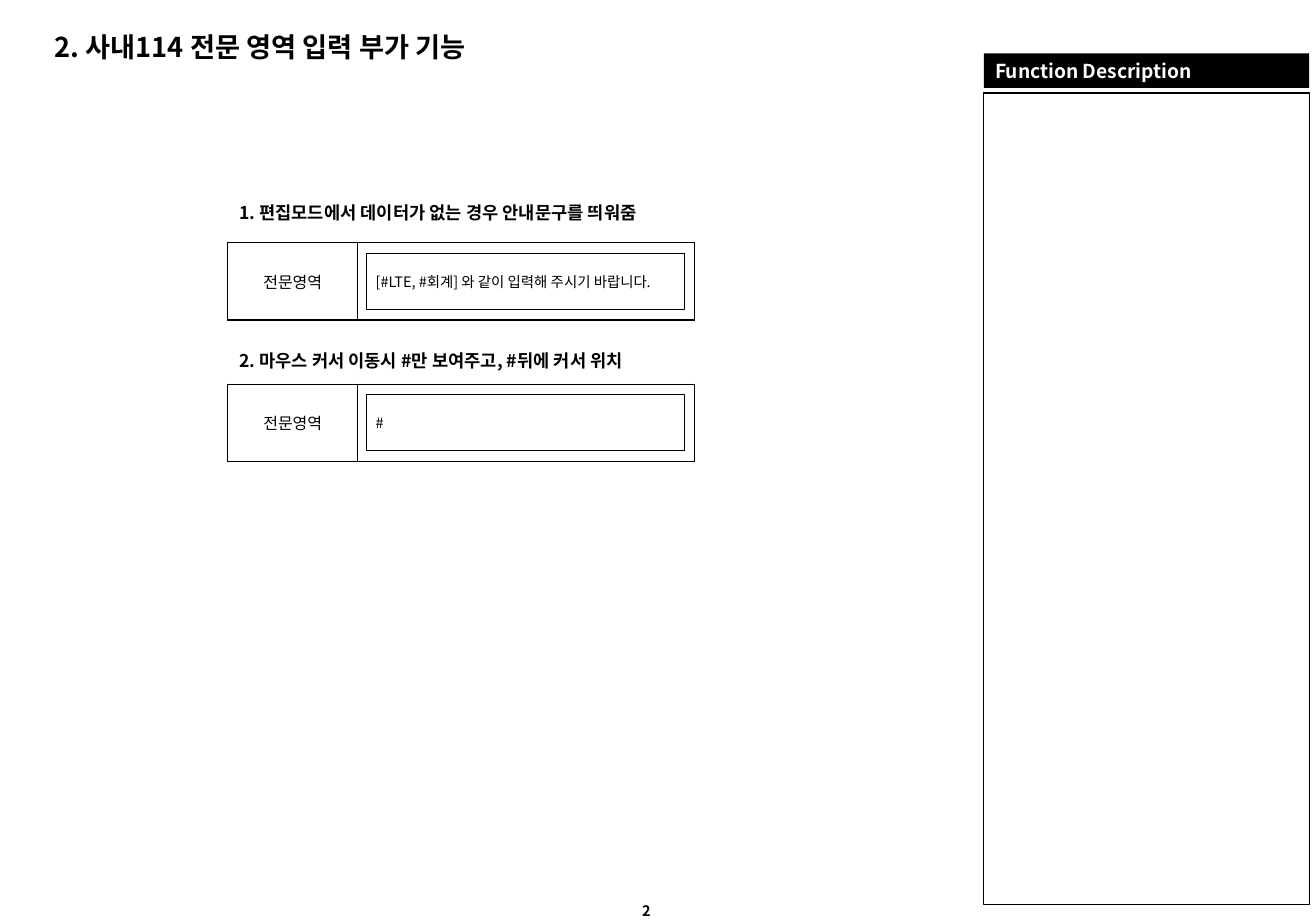
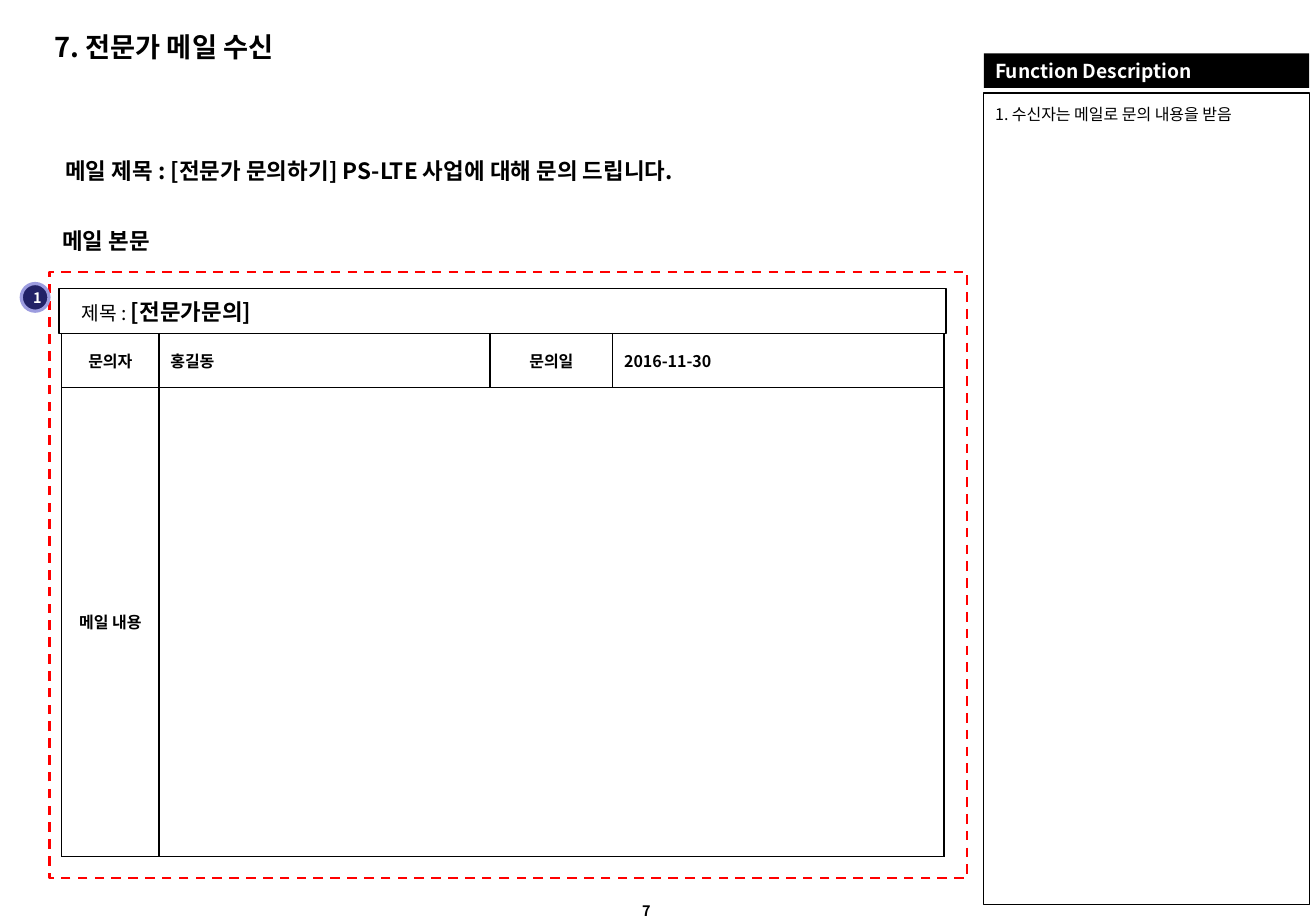
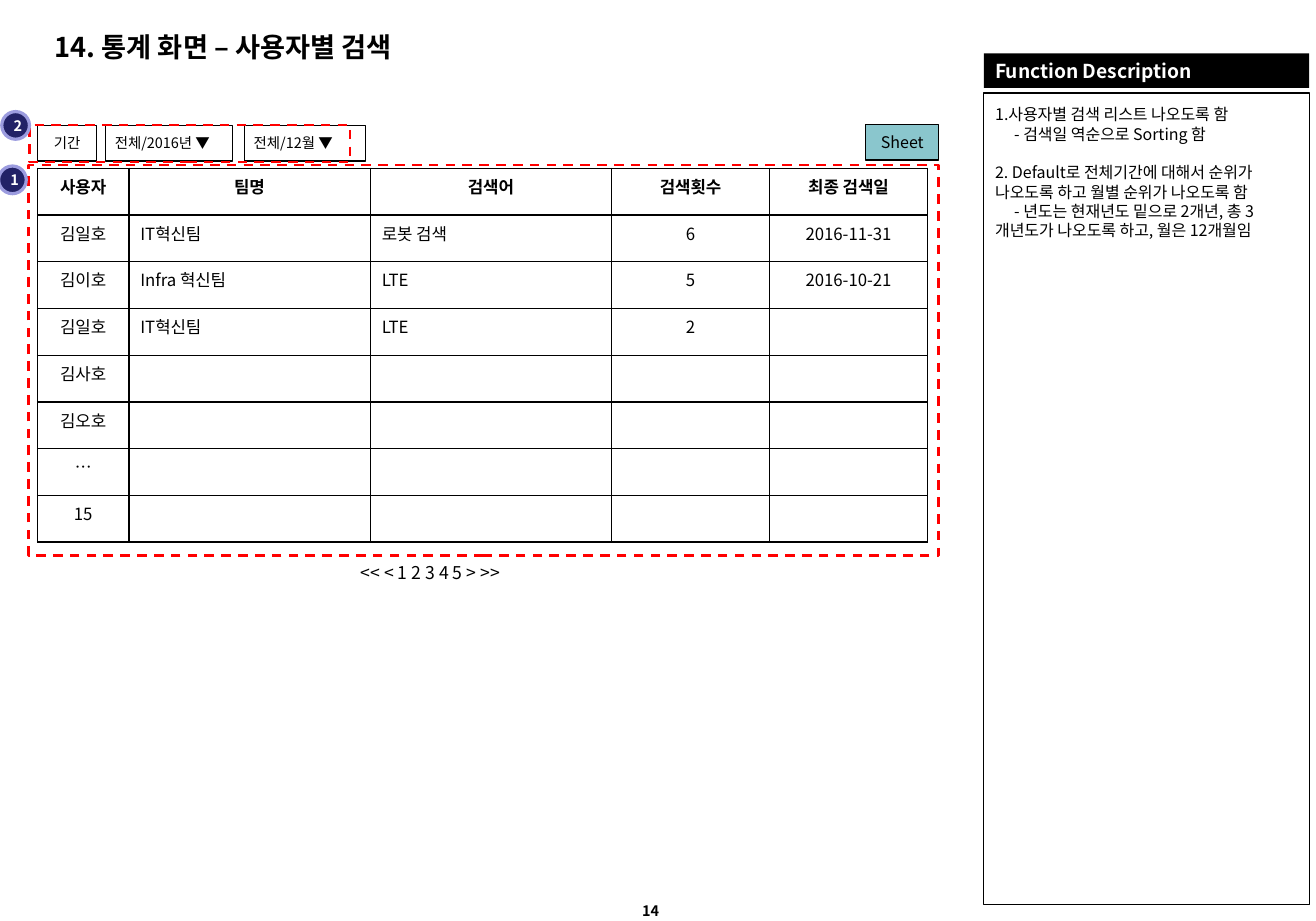
from lxml import etree
from pptx import Presentation
from pptx.dml.color import RGBColor
from pptx.enum.dml import MSO_LINE
from pptx.enum.shapes import MSO_SHAPE as Preset
from pptx.enum.text import MSO_ANCHOR as Anchor, PP_ALIGN as Align
from pptx.oxml.ns import qn
from pptx.util import Cm, Pt

FONT = "Noto Sans CJK KR"
LINE_PITCH = 1.21
COLORS = {
    "ink": "000000",
    "paper": "FFFFFF",
    "marker": "FF0000",
    "badge": "222267",
    "badge_ring": "9C9CDF",
    "button": "8AC6CD",
}
PANEL = {"left": 21.68, "width": 7.17}
INSETS = {"margin_left": 0.25, "margin_right": 0.25,
          "margin_top": 0.13, "margin_bottom": 0.13}
FIELD_INSETS = {"margin_left": 0.2, "margin_right": 0.2,
                "margin_top": 0.1, "margin_bottom": 0.1}
BUTTON_INSETS = dict.fromkeys(INSETS, 0.1)
BADGE_INSETS = {**dict.fromkeys(INSETS, 0), "margin_left": 0.1}
NOTE_INDENTS = {"numbered": (0.23, -0.23), "plain": (0, 0), "sub": (0, 0.42)}


def rgb(color):
    return RGBColor.from_string(COLORS[color])


def cms(*lengths):
    return [Cm(length) for length in lengths]


def set_all(target, values):
    for name, value in values.items():
        setattr(target, name, value)


def add_run(paragraph, text, size, color="ink", bold=False, font=FONT):
    run = paragraph.add_run()
    run.text = text
    set_all(run.font, {"size": Pt(size), "bold": bold, "name": font})
    run.font.color.rgb = rgb(color)
    east_asian = etree.SubElement(run._r.get_or_add_rPr(), qn("a:ea"))
    east_asian.set("typeface", FONT)


def write_line(frame, runs, align=Align.LEFT):
    """Fill the first paragraph with (text, size, color, bold) runs."""
    paragraph = frame.paragraphs[0]
    paragraph.alignment = align
    paragraph.line_spacing = Pt(max(run[1] for run in runs) * LINE_PITCH)
    for run in runs:
        add_run(paragraph, *run)


def set_frame(frame, anchor=Anchor.TOP, wrap=True, insets=INSETS):
    set_all(frame, {name: Cm(value) for name, value in insets.items()})
    set_all(frame, {"vertical_anchor": anchor, "word_wrap": wrap})


def add_label(slide, box, text, size, bold=True, anchor=Anchor.TOP):
    frame = slide.shapes.add_textbox(*cms(*box)).text_frame
    set_frame(frame, anchor)
    write_line(frame, [(text, size, "ink", bold)])


def add_box(slide, box, fill=None, line="ink", weight=0.75, dash=None,
            preset=Preset.RECTANGLE):
    shape = slide.shapes.add_shape(preset, *cms(*box))
    shape.shadow.inherit = False
    if fill:
        shape.fill.solid()
        shape.fill.fore_color.rgb = rgb(fill)
    else:
        shape.fill.background()
    if line:
        shape.line.color.rgb = rgb(line)
        set_all(shape.line, {"width": Pt(weight), "dash_style": dash})
    else:
        shape.line.fill.background()
    return shape


def add_field(slide, box, runs, fill="paper", align=Align.LEFT,
              insets=FIELD_INSETS):
    """Draw an outlined form field or button with one line of text."""
    frame = add_box(slide, box, fill).text_frame
    set_frame(frame, Anchor.MIDDLE, False, insets)
    write_line(frame, runs, align)


def add_marker(slide, box):
    add_box(slide, box, line="marker", weight=1.5, dash=MSO_LINE.DASH)


def add_badge(slide, left, top, number):
    badge = add_box(slide, (left, top, 0.61, 0.61), "badge", "badge_ring", 2,
                    preset=Preset.OVAL)
    set_frame(badge.text_frame, Anchor.MIDDLE, False, BADGE_INSETS)
    write_line(badge.text_frame, [(number, 9, "paper", True)], Align.CENTER)


def outline_cell(cell):
    properties = cell._tc.get_or_add_tcPr()
    for position, side in enumerate(("lnL", "lnR", "lnT", "lnB")):
        border = etree.Element(qn(f"a:{side}"), w=str(Pt(1)))
        fill = etree.SubElement(border, qn("a:solidFill"))
        etree.SubElement(fill, qn("a:srgbClr"), val=COLORS["ink"])
        properties.insert(position, border)


def add_grid(slide, left, top, widths, heights, rows, size, centred,
             bold_rows=(), anchor=Anchor.MIDDLE, font=FONT):
    """Add a ruled table; centred lists the columns with centred text."""
    table = slide.shapes.add_table(
        len(heights), len(widths),
        *cms(left, top, sum(widths), sum(heights))).table
    set_all(table, {"first_row": False, "horz_banding": False})
    for column, width in zip(table.columns, widths):
        column.width = Cm(width)
    for row, height in zip(table.rows, heights):
        row.height = Cm(height)
    for r, texts in enumerate(rows):
        for c in range(len(widths)):
            cell = table.cell(r, c)
            cell.vertical_anchor = anchor
            cell.fill.solid()
            cell.fill.fore_color.rgb = rgb("paper")
            outline_cell(cell)
            paragraph = cell.text_frame.paragraphs[0]
            is_heading = anchor == Anchor.TOP and r == 0
            paragraph.alignment = (Align.CENTER if c in centred or is_heading
                                   else Align.LEFT)
            text = texts[c] if c < len(texts) else ""
            add_run(paragraph, text, size, bold=r in bold_rows, font=font)
    return table


def add_notes(slide, notes, height):
    """Write (kind, text, space before in points) notes in the side panel."""
    frame = slide.shapes.add_textbox(
        *cms(PANEL["left"], 2.18, PANEL["width"], height)).text_frame
    set_frame(frame)
    for index, (kind, text, space) in enumerate(notes):
        paragraph = frame.add_paragraph() if index else frame.paragraphs[0]
        set_all(paragraph, {"line_spacing": Pt(10 * LINE_PITCH),
                            "space_before": Pt(space)})
        margin, indent = NOTE_INDENTS[kind]
        properties = paragraph._p.get_or_add_pPr()
        properties.set("marL", str(Cm(margin)))
        properties.set("indent", str(Cm(indent)))
        if kind == "numbered":
            etree.SubElement(properties, qn("a:buAutoNum"),
                             type="arabicPeriod")
        add_run(paragraph, text, 10)


def add_page(deck, title, page):
    """Start a slide with title, page number and description panel."""
    slide = deck.slides.add_slide(deck.slide_layouts[6])
    add_label(slide, (13.9, 19.76, 2.13, 0.64), page, 9)
    left, width = PANEL["left"], PANEL["width"]
    add_box(slide, (left, 2.05, width, 17.88))
    header = add_box(slide, (left, 1.18, width, 0.76), "ink", None)
    set_frame(header.text_frame, Anchor.MIDDLE)
    write_line(header.text_frame,
               [("Function Description", 12, "paper", True)])
    add_label(slide, (0.95, 0.53, 25.98, 0.99), title, 17,
              anchor=Anchor.MIDDLE)
    return slide


def build_input_page(deck):
    slide = add_page(deck, "2. 사내114 전문 영역 입력 부가 기능", "2")
    left = 5.02
    steps = [
        (4.31, 5.35, "1. 편집모드에서 데이터가 없는 경우 안내문구를 띄워줌",
         "[#LTE, #회계] 와 같이 입력해 주시기 바랍니다."),
        (7.59, 8.47, "2. 마우스 커서 이동시 #만 보여주고, #뒤에 커서 위치", "#"),
    ]
    for heading_top, form_top, heading, entry in steps:
        add_label(slide, (left, heading_top, 11.28, 0.74), heading, 11)
        add_grid(slide, left, form_top, [2.86, 7.42], [1.7], [["전문영역"]],
                 10, {0}, font="Arial")
        add_field(slide, (left + 3.06, form_top + 0.23, 7.01, 1.24),
                  [(entry, 9)])


def build_mail_page(deck):
    slide = add_page(deck, "7. 전문가 메일 수신", "7")
    add_notes(slide, [("numbered", " 수신자는 메일로 문의 내용을 받음", 0)], 1.88)
    add_label(slide, (1.19, 3.33, 19.56, 0.86),
              "메일 제목 : [전문가 문의하기] PS-LTE 사업에 대해 문의 드립니다.", 14)
    add_label(slide, (1.12, 4.88, 19.56, 0.86), "메일 본문", 14)
    add_field(slide, (1.3, 6.36, 19.55, 0.99),
              [("제목 : ", 12), ("[전문가문의]", 14, "ink", True)],
              insets={**FIELD_INSETS, "margin_left": 0.5})
    mail = add_grid(slide, 1.36, 7.35, [2.14, 7.3, 2.7, 7.3],
                    [1.19, 10.34],
                    [["문의자", "홍길동", "문의일", "2016-11-30"], ["메일 내용"]],
                    10, {0, 2}, bold_rows={0, 1})
    mail.cell(1, 1).merge(mail.cell(1, 3))
    add_marker(slide, (1.09, 5.99, 20.22, 13.37))
    add_badge(slide, 0.47, 6.25, "1")


def build_statistics_page(deck):
    slide = add_page(deck, "14. 통계 화면 – 사용자별 검색", "14")
    add_notes(slide, [
        ("numbered", "사용자별 검색 리스트 나오도록 함", 0),
        ("sub", "- 검색일 역순으로 Sorting 함", 0),
        ("plain", "2. Default로 전체기간에 대해서 순위가 나오도록 하고 "
                  "월별 순위가 나오도록 함", 12),
        ("sub", "- 년도는 현재년도 밑으로 2개년, 총 3개년도가 나오도록 하고, "
                "월은 12개월임", 0),
    ], 3.25)
    searches = [
        ["사용자", "팀명", "검색어", "검색횟수", "최종 검색일"],
        ["김일호", "IT혁신팀", "로봇 검색", "6", "2016-11-31"],
        ["김이호", "Infra 혁신팀", "LTE", "5", "2016-10-21"],
        ["김일호", "IT혁신팀", "LTE", "2"],
        ["김사호"], ["김오호"], ["…"], ["15"],
    ]
    add_grid(slide, 0.83, 3.71, [2.01, 5.32, 5.32, 3.48, 3.48],
             [1.03] * len(searches), searches, 10.5, {0, 3, 4},
             bold_rows={0}, anchor=Anchor.TOP)
    add_label(slide, (7.7, 12.25, 4.8, 0.74), "<< < 1 2 3 4 5 > >>", 11,
              bold=False)
    for left, top, width, text, size, fill in [
            (0.83, 2.76, 1.3, "기간", 9, "paper"),
            (19.08, 2.74, 1.61, "Sheet", 10, "button")]:
        add_field(slide, (left, top, width, 0.79), [(text, size)], fill,
                  Align.CENTER, BUTTON_INSETS)
    for left, width, text in [(2.33, 2.79, "전체/2016년 ▼"),
                              (5.39, 2.67, "전체/12월 ▼")]:
        add_field(slide, (left, 2.76, width, 0.79), [(text, 9)])
    add_marker(slide, (0.63, 3.64, 20.05, 8.61))
    add_badge(slide, -0.03, 3.66, "1")
    add_marker(slide, (0.65, 2.76, 7.06, 0.81))
    add_badge(slide, 0.04, 2.46, "2")


def main():
    deck = Presentation()
    set_all(deck, {"slide_width": Cm(29), "slide_height": Cm(20.3)})
    build_input_page(deck)
    build_mail_page(deck)
    build_statistics_page(deck)
    deck.save("out.pptx")


if __name__ == "__main__":
    main()
